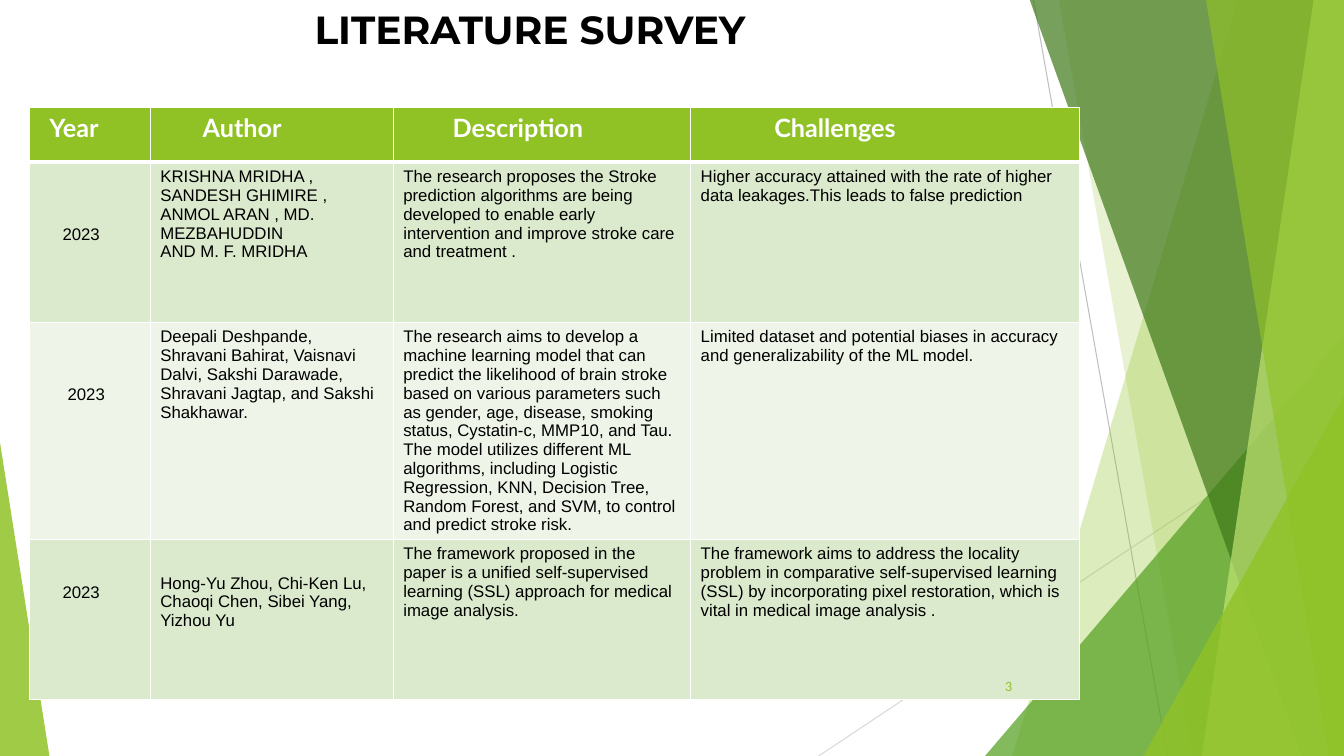
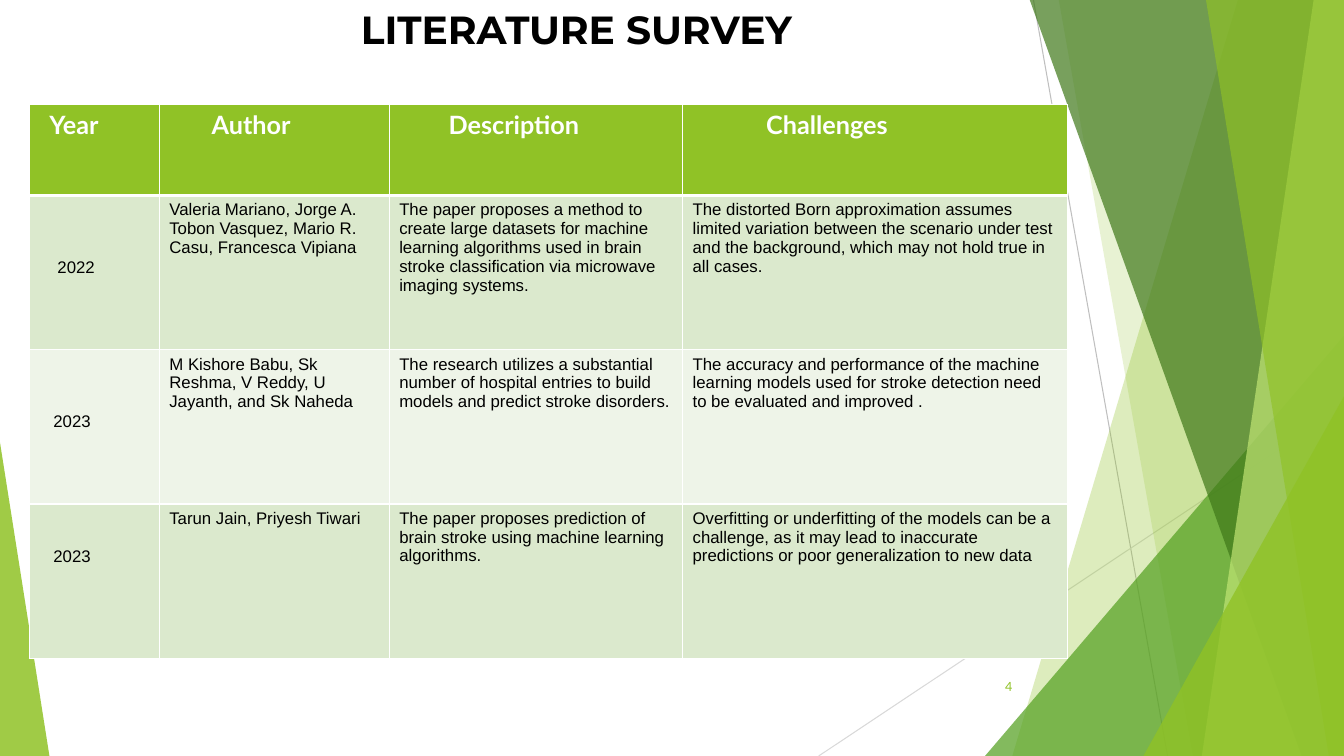
"""Build two literature survey slides with a shared faceted green layout."""
from dataclasses import dataclass

from lxml.etree import SubElement
from pptx import Presentation
from pptx.dml.color import RGBColor
from pptx.enum.shapes import MSO_CONNECTOR, MSO_SHAPE
from pptx.enum.text import MSO_ANCHOR, MSO_AUTO_SIZE, PP_ALIGN
from pptx.oxml.ns import qn
from pptx.util import Inches, Pt


@dataclass(frozen=True)
class Theme:
    lime: str = "90C226"
    leaf: str = "54A021"
    moss: str = "3F7819"
    pale: str = "C0E474"
    white: str = "FFFFFF"
    black: str = "000000"
    bands: tuple = ("DBE9CD", "EEF4E8")
    rules: tuple = ("BFBFBF", "D9D9D9")
    display: str = "Montserrat"
    label: str = "Lato"
    body: str = "Arial"
    title: int = 28
    head: int = 18
    text: int = 12
    folio: int = 9


def write(frame, text, font, size, color, bold=False, align=PP_ALIGN.LEFT):
    frame.word_wrap = True
    for i, line in enumerate(text.split("\n")):
        para = frame.add_paragraph() if i else frame.paragraphs[0]
        para.alignment = align
        run = para.add_run()
        run.text = line
        run.font.name = font
        run.font.size = Pt(size)
        run.font.bold = bold
        run.font.color.rgb = RGBColor.from_string(color)


def edge(cell, **widths):
    props = cell._tc.get_or_add_tcPr()
    for side in "LRTB":
        line = SubElement(props, qn("a:ln" + side), w=str(Pt(widths.get(side, 1))))
        fill = SubElement(line, qn("a:solidFill"))
        SubElement(fill, qn("a:srgbClr"), val=theme.white)


theme = Theme()
wide, high = 13.33, 7.5
heads = [("Year", 0.2, 0), ("Author", 0.52, 0), ("Description", 0.59, 0), ("Challenges", 0.83, 0)]
pages = [
    dict(
        folio="3", title=(3.02, 0, 5.18, 0.74), top=1.07,
        cols=[1.2, 2.41, 2.95, 3.86], rows=[0.54, 1.59, 2.15, 1.59],
        cells=[
            [("2023", 0.33, 0.57),
             "KRISHNA MRIDHA , SANDESH GHIMIRE , ANMOL ARAN , MD. MEZBAHUDDIN\nAND M. F. MRIDHA",
             "The research proposes the Stroke prediction algorithms are being developed to enable "
             "early intervention and improve stroke care and treatment .",
             "Higher accuracy attained with the rate of higher data leakages.This leads to false "
             "prediction"],
            [("2023", 0.38, 0.57),
             "Deepali Deshpande, Shravani Bahirat, Vaisnavi Dalvi, Sakshi Darawade, Shravani "
             "Jagtap, and Sakshi Shakhawar.",
             "The research aims to develop a machine learning model that can predict the likelihood "
             "of brain stroke based on various parameters such as gender, age, disease, smoking "
             "status, Cystatin-c, MMP10, and Tau. The model utilizes different ML algorithms, "
             "including Logistic Regression, KNN, Decision Tree, Random Forest, and SVM, to control "
             "and predict stroke risk.",
             "Limited dataset and potential biases in accuracy and generalizability of the ML model."],
            [("2023", 0.33, 0.38),
             ("Hong-Yu Zhou, Chi-Ken Lu, Chaoqi Chen, Sibei Yang, Yizhou Yu", 0.1, 0.29),
             "The framework proposed in the paper is a unified self-supervised learning (SSL) "
             "approach for medical image analysis.",
             "The framework aims to address the locality problem in comparative self-supervised "
             "learning (SSL) by incorporating pixel restoration, which is vital in medical image "
             "analysis ."],
        ],
    ),
    dict(
        folio="4", title=(3.48, 0, 6.67, 1.04), top=1.04,
        cols=[1.29, 2.28, 2.91, 3.82], rows=[0.9, 1.53, 1.53, 1.53],
        cells=[
            [("2022", 0.28, 0.57),
             "Valeria Mariano, Jorge A. Tobon Vasquez, Mario R. Casu, Francesca Vipiana",
             "The paper proposes a method to create large datasets for machine learning algorithms "
             "used in brain stroke classification via microwave imaging systems.",
             "The distorted Born approximation assumes limited variation between the scenario under "
             "test and the background, which may not hold true in all cases."],
            [("2023", 0.24, 0.57),
             "M Kishore Babu, Sk Reshma, V Reddy, U Jayanth, and Sk Naheda",
             "The research utilizes a substantial number of hospital entries to build models and "
             "predict stroke disorders.",
             "The accuracy and performance of the machine learning models used for stroke detection "
             "need to be evaluated and improved ."],
            [("2023", 0.24, 0.38),
             "Tarun Jain, Priyesh Tiwari",
             "The paper proposes prediction of brain stroke using machine learning algorithms.",
             "Overfitting or underfitting of the models can be a challenge, as it may lead to "
             "inaccurate predictions or poor generalization to new data"],
        ],
    ),
]
lines = [(10.25, 0, 11.58, high), (wide, 4.03, 8.12, high)]
facets = [
    ((12.28, 10.04), theme.lime, 30),
    ((10.5, 11.83), theme.lime, 20),
    ((9.77, 3.33, 3.56, 4.17), theme.leaf, 72),
    ((10.21, 12.91), theme.moss, 70),
    ((13.03, 11.92), theme.pale, 70),
    ((11.96, 13.18), theme.lime, 65),
    ((11.34, 3.93, 1.99, 3.57), theme.lime, 80),
    ((0, 4.39, 0.49, 3.11), theme.lime, 85),
]

prs = Presentation()
prs.slide_width, prs.slide_height = Inches(wide), Inches(high)
layout = prs.slide_layouts[5]
for holder in list(layout.placeholders)[1:]:
    layout.shapes.element.remove(holder.element)
slides = [prs.slides.add_slide(layout) for page in pages]

shapes = slides[0].shapes
art = []
for ends, color in zip(lines, theme.rules):
    rule = shapes.add_connector(MSO_CONNECTOR.STRAIGHT, *map(Inches, ends))
    rule.line.color.rgb = RGBColor.from_string(color)
    rule.line.width = Pt(0.75)
    SubElement(rule.element.spPr, qn("a:effectLst"))
    art.append(rule)
for spot, color, alpha in facets:
    if len(spot) == 2:
        upper, lower = spot
        pen = shapes.build_freeform(Inches(upper), Inches(-0.01))
        rest = [(wide, -0.01), (wide, high), (lower, high)]
        pen.add_line_segments([(Inches(x), Inches(y)) for x, y in rest])
        facet = pen.convert_to_shape()
    else:
        facet = shapes.add_shape(MSO_SHAPE.ISOSCELES_TRIANGLE, *map(Inches, spot))
        facet.adjustments[0] = 1 if spot[0] else 0
    facet.shadow.inherit = False
    facet.line.fill.background()
    facet.fill.solid()
    facet.fill.fore_color.rgb = RGBColor.from_string(color)
    tint = facet.element.spPr.find(qn("a:solidFill"))[0]
    SubElement(tint, qn("a:alpha"), val=str(alpha * 1000))
    art.append(facet)
for i, shape in enumerate(art):
    layout.shapes.element.insert(2 + i, shape.element)

for slide, page in zip(slides, pages):
    title = slide.shapes.title
    title.left, title.top, title.width, title.height = map(Inches, page["title"])
    title.text_frame.auto_size = MSO_AUTO_SIZE.NONE
    title.text_frame.vertical_anchor = MSO_ANCHOR.TOP
    write(title.text_frame, "LITERATURE SURVEY", font=theme.display, size=theme.title,
          color=theme.black, bold=True)

    cols, rows = page["cols"], page["rows"]
    area = map(Inches, (0.29, page["top"], sum(cols), sum(rows)))
    table = slide.shapes.add_table(len(rows), len(cols), *area).table
    for col, width in zip(table.columns, cols):
        col.width = Inches(width)
    for r, (row, height) in enumerate(zip([heads] + page["cells"], rows)):
        table.rows[r].height = Inches(height)
        for c, item in enumerate(row):
            text, left, drop = (item, 0.1, 0) if isinstance(item, str) else item
            cell = table.cell(r, c)
            cell.margin_left, cell.margin_top = Inches(left), Inches(0.05 + drop)
            edge(cell, T=3 if r == 1 else 1, B=1 if r else 3)
            cell.fill.solid()
            fill = theme.bands[(r - 1) % 2] if r else theme.lime
            cell.fill.fore_color.rgb = RGBColor.from_string(fill)
            if r:
                write(cell.text_frame, text, font=theme.body, size=theme.text, color=theme.black)
            else:
                write(cell.text_frame, text, font=theme.label, size=theme.head,
                      color=theme.white, bold=True)

    folio = slide.shapes.add_textbox(*map(Inches, (9.39, 6.61, 0.75, 0.4))).text_frame
    folio.vertical_anchor = MSO_ANCHOR.MIDDLE
    write(folio, page["folio"], font=theme.label, size=theme.folio, color=theme.lime,
          align=PP_ALIGN.RIGHT)

prs.save("out.pptx")
